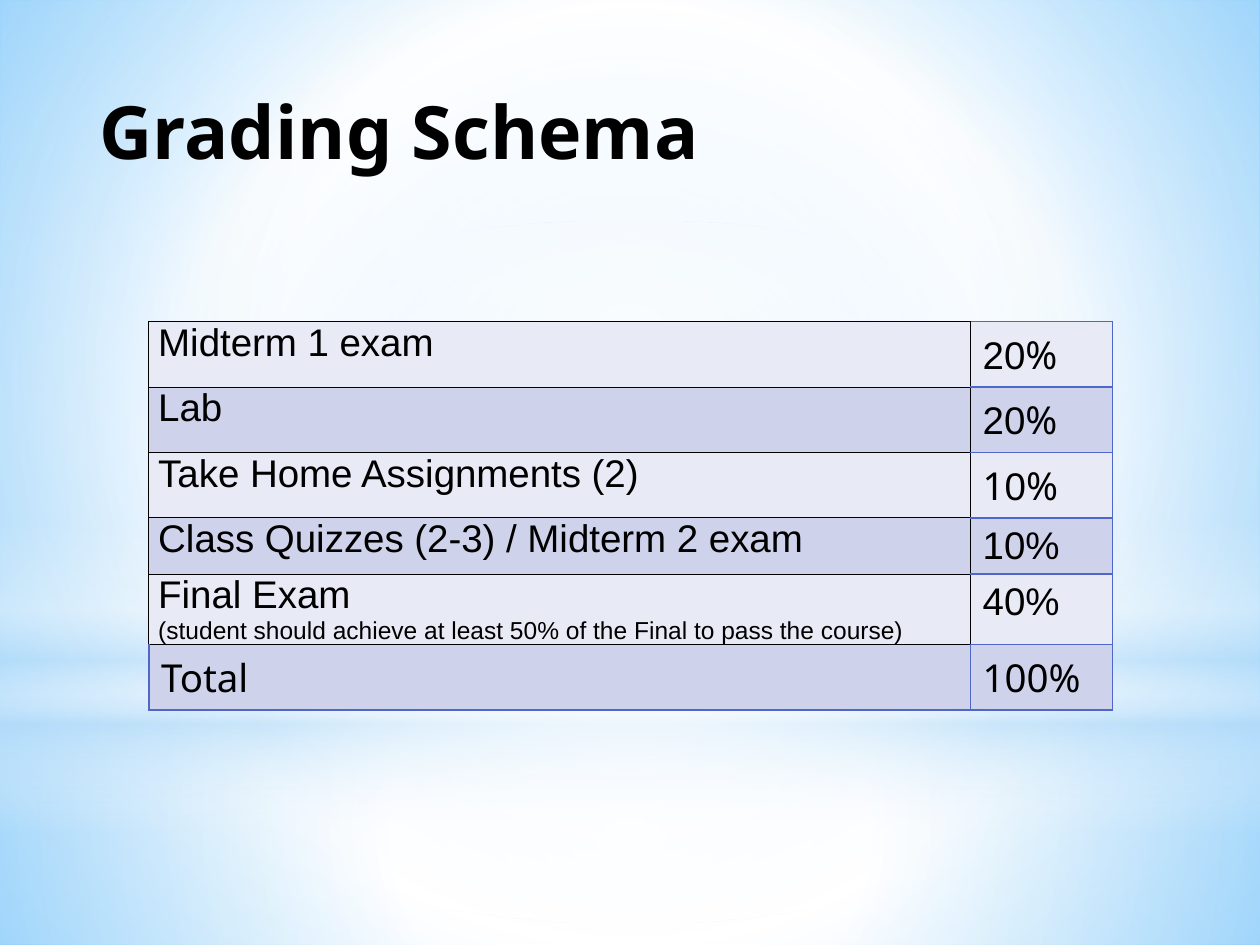
from lxml.etree import SubElement
from pptx import Presentation
from pptx.dml.color import RGBColor
from pptx.enum.shapes import MSO_SHAPE
from pptx.enum.text import MSO_ANCHOR, PP_ALIGN
from pptx.oxml import parse_xml
from pptx.oxml.ns import nsdecls, qn
from pptx.util import Cm, Pt

hue = RGBColor.from_string


def blend(fill, node, stops, angle=None):
    fill.solid()
    old = node.find(qn("a:solidFill"))
    marks = "".join(
        f'<a:gs pos="{pos * 1000}"><a:srgbClr val="{tint}">'
        f'<a:alpha val="{alpha * 1000}"/></a:srgbClr></a:gs>'
        for pos, tint, alpha in stops)
    if angle is None:
        way = ('<a:path path="circle"><a:fillToRect l="50000" t="50000" '
               'r="50000" b="50000"/></a:path>')
    else:
        way = f'<a:lin ang="{angle * 60000}" scaled="0"/>'
    node.replace(old, parse_xml(
        f'<a:gradFill {nsdecls("a")} rotWithShape="1">'
        f'<a:gsLst>{marks}</a:gsLst>{way}</a:gradFill>'))


def write(para, text, **look):
    run = para.add_run()
    run.text = text
    run.font.color.rgb = hue("000000")
    for key, val in look.items():
        setattr(run.font, key, val)


deck = Presentation()
deck.slide_width, deck.slide_height = Cm(25.4), Cm(19.05)
slide = deck.slides.add_slide(deck.slide_layouts[5])

back = slide.background.fill
back.solid()
blend(back, slide.element.find(".//" + qn("p:bgPr")),
      [(0, "99D4FE", 100), (60, "FFFFFF", 100), (100, "54BDFF", 100)])

WHITE, SKY = "FFFFFF", "B4DCFA"
layers = [
    (MSO_SHAPE.RECTANGLE, 14.17, 4.88, None,
     [(0, WHITE, 91), (37, WHITE, 76), (100, SKY, 79)]),
    (MSO_SHAPE.RECTANGLE, 0, 14.17, None,
     [(0, WHITE, 89), (48, WHITE, 62), (100, SKY, 79)]),
    (MSO_SHAPE.RECTANGLE, 10.46, 6.35, 90,
     [(0, WHITE, 0), (29, WHITE, 30), (45, SKY, 40),
      (55, WHITE, 26), (65, SKY, 60), (100, WHITE, 0)]),
    (MSO_SHAPE.OVAL, 4.45, 14.17, None,
     [(0, WHITE, 100), (56, WHITE, 0), (100, WHITE, 0)]),
]
for kind, top, high, angle, stops in layers:
    shape = slide.shapes.add_shape(kind, 0, Cm(top), deck.slide_width, Cm(high))
    shape.shadow.inherit = False
    shape.line.fill.background()
    blend(shape.fill, shape.element.spPr, stops, angle)

title = slide.shapes.title
title.element.getparent().append(title.element)
for key, val in dict(left=1.75, top=1.6, width=23.06, height=3.18).items():
    setattr(title, key, Cm(val))
title.text_frame.vertical_anchor = MSO_ANCHOR.TOP
head = title.text_frame.paragraphs[0]
head.alignment = PP_ALIGN.LEFT
write(head, "Grading Schema", name="Noto Sans", size=Pt(42), bold=True)

A, N = "Arial", "Noto Sans"
rows = [
    (1.32, [("Midterm 1 exam", A)], [("20", A), ("%", N)]),
    (1.32, [("Lab", A)], [("20", A), ("%", N)]),
    (1.32, [("Take Home Assignments (2)", A)], [("1", N), ("0", A), ("%", N)]),
    (1.12, [("Class Quizzes (2-3) / Midterm 2 exam", A)], [("10%", A)]),
    (1.42, [("Final Exam", A)], [("40%", A)]),
    (1.32, [("Total", N)], [("100%", N)]),
]
note = "(student should achieve at least 50% of the Final to pass the course)"
last = len(rows) - 1
wide = (16.56, 2.87)
grid = slide.shapes.add_table(
    len(rows), 2, Cm(3), Cm(6.48), Cm(sum(wide)),
    Cm(sum(row[0] for row in rows))).table
grid.first_row = grid.horz_banding = False
for col, size in zip(grid.columns, wide):
    col.width = Cm(size)

BLACK, BLUE = ("000000", 0.5), ("4E67C8", 1)
tight = dict(margin_left=Cm(0.19), margin_right=Cm(0.19),
             margin_top=0, margin_bottom=0)
loose = dict(margin_left=Cm(0.25), margin_right=Cm(0.25),
             margin_top=Cm(0.13), margin_bottom=Cm(0.13))
for i, (high, *texts) in enumerate(rows):
    grid.rows[i].height = Cm(high)
    for j, runs in enumerate(texts):
        cell = grid.cell(i, j)
        plain = j == 0 and i < last
        for key, val in (tight if plain else loose).items():
            setattr(cell, key, val)
        cell.vertical_anchor = MSO_ANCHOR.TOP
        for text, face in runs:
            write(cell.text_frame.paragraphs[0], text, name=face, size=Pt(22))
        if text == "Final Exam":
            write(cell.text_frame.add_paragraph(), note, name=A, size=Pt(14))
        edges = dict.fromkeys("LRTB", BLACK if plain else BLUE)
        if j == 1 and i < last:
            edges["L"] = BLACK
        if j == 0 and i == last:
            edges["T"] = BLACK
        props = cell.fill and cell._tc.get_or_add_tcPr()
        for side, (tint, size) in edges.items():
            line = SubElement(props, qn(f"a:ln{side}"), w=str(Pt(size)))
            SubElement(SubElement(line, qn("a:solidFill")),
                       qn("a:srgbClr"), val=tint)
        cell.fill.solid()
        cell.fill.fore_color.rgb = hue(("E8EAF5", "CFD2EB")[i % 2])

deck.save("out.pptx")
